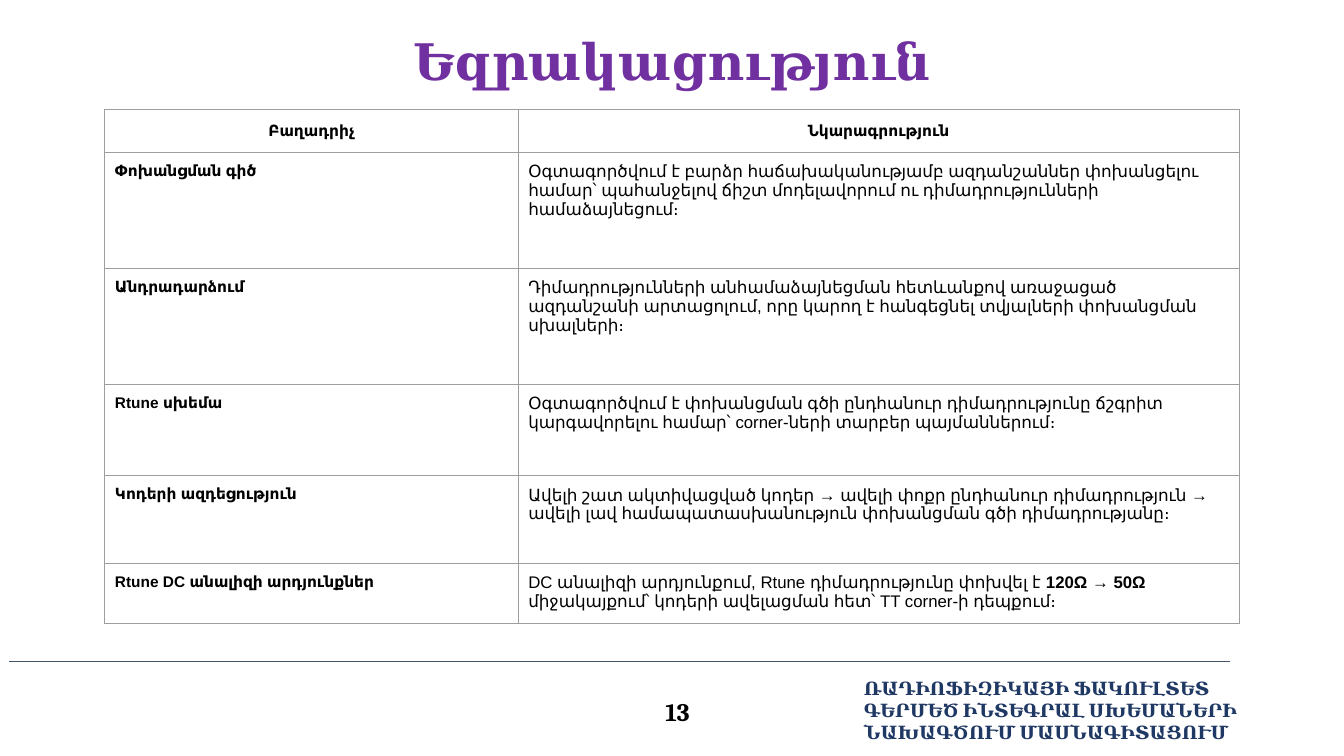
from typing import NamedTuple

from lxml import etree
from pptx import Presentation
from pptx.dml.color import RGBColor
from pptx.enum.shapes import MSO_CONNECTOR
from pptx.enum.text import MSO_ANCHOR, PP_ALIGN
from pptx.oxml.ns import qn
from pptx.util import Inches, Pt

STRAIGHT = MSO_CONNECTOR.STRAIGHT
TOP, MIDDLE = MSO_ANCHOR.TOP, MSO_ANCHOR.MIDDLE
LEFT, CENTER = PP_ALIGN.LEFT, PP_ALIGN.CENTER

COLORS = {
    "title": "7030A0",
    "faculty": "1F3864",
    "text": "000000",
    "rule": "44546A",
    "border": "9E9E9E",
}


class Run(NamedTuple):
    text: str
    bold: bool = False


class Row(NamedTuple):
    height: float
    component: str
    description: list[Run]


class Label(NamedTuple):
    box: tuple[float, float, float, float]
    lines: list[str]
    size: float
    color: str
    align: PP_ALIGN = LEFT
    anchor: MSO_ANCHOR = TOP


HEADER = Row(0.42, "Բաղադրիչ", [Run("Նկարագրություն", True)])
ROWS = [
    Row(1.15, "Փոխանցման գիծ", [Run(
        "Օգտագործվում է բարձր հաճախականությամբ ազդանշաններ փոխանցելու համար՝ "
        "պահանջելով ճիշտ մոդելավորում ու դիմադրությունների համաձայնեցում։")]),
    Row(1.15, "Անդրադարձում", [Run(
        "Դիմադրությունների անհամաձայնեցման հետևանքով առաջացած ազդանշանի արտացոլում, "
        "որը կարող է հանգեցնել տվյալների փոխանցման սխալների։")]),
    Row(0.91, "Rtune սխեմա", [Run(
        "Օգտագործվում է փոխանցման գծի ընդհանուր դիմադրությունը ճշգրիտ կարգավորելու "
        "համար՝ corner-ների տարբեր պայմաններում։")]),
    Row(0.87, "Կոդերի ազդեցություն", [Run(
        "Ավելի շատ ակտիվացված կոդեր → ավելի փոքր ընդհանուր դիմադրություն → "
        "ավելի լավ համապատասխանություն փոխանցման գծի դիմադրությանը։")]),
    Row(0.58, "Rtune DC անալիզի արդյունքներ", [
        Run("DC անալիզի արդյունքում, Rtune դիմադրությունը փոխվել է "),
        Run("120Ω → 50Ω", True),
        Run(" միջակայքում՝ կոդերի ավելացման հետ՝ TT corner-ի դեպքում։")]),
]
COLUMN_WIDTHS = (4.1, 7.15)

LABELS = [
    Label((0.92, -0.13, 11.5, 1.45), ["Եզրակացություն"], 36, "title", CENTER, MIDDLE),
    Label((8.47, 6.67, 4.51, 0.86),
          ["ՌԱԴԻՈՖԻԶԻԿԱՅԻ ՖԱԿՈՒԼՏԵՏ",
           "ԳԵՐՄԵԾ ԻՆՏԵԳՐԱԼ ՍԽԵՄԱՆԵՐԻ ՆԱԽԱԳԾՈՒՄ ՄԱՍՆԱԳԻՏԱՑՈՒՄ"], 13, "faculty"),
    Label((6.5, 6.86, 0.63, 0.4), ["13"], 18, "text"),
]


def write(p, text: str, *, size: float, font: str, color: str = "text",
          bold: bool = False, align: PP_ALIGN = LEFT, spacing: float = 1.0) -> None:
    """Append a formatted run to a paragraph."""
    p.alignment = align
    p.line_spacing = spacing
    r = p.add_run()
    r.text = text
    r.font.size = Pt(size)
    r.font.name = font
    r.font.bold = bold
    r.font.color.rgb = RGBColor.from_string(COLORS[color])


def add_label(s, label: Label) -> None:
    tf = s.shapes.add_textbox(*map(Inches, label.box)).text_frame
    tf.word_wrap = True
    tf.vertical_anchor = label.anchor
    for i, line in enumerate(label.lines):
        p = tf.add_paragraph() if i else tf.paragraphs[0]
        write(p, line, size=label.size, font="Cambria", color=label.color,
              bold=True, align=label.align)


def set_borders(cell) -> None:
    """Outline a cell; border elements must precede its fill."""
    props = cell._tc.get_or_add_tcPr()
    for i, side in enumerate(("a:lnL", "a:lnR", "a:lnT", "a:lnB")):
        ln = etree.Element(qn(side), w=str(Pt(0.75)))
        fill = etree.SubElement(ln, qn("a:solidFill"))
        etree.SubElement(fill, qn("a:srgbClr"), val=COLORS["border"])
        props.insert(i, ln)


def fill_cell(cell, runs: list[Run], size: float, align: PP_ALIGN, spacing: float) -> None:
    cell.margin_left = cell.margin_right = Inches(0.1)
    cell.margin_top = cell.margin_bottom = Inches(0.1)
    cell.vertical_anchor = TOP
    cell.fill.background()
    set_borders(cell)
    for run in runs:
        write(cell.text_frame.paragraphs[0], run.text, size=size, font="Arial",
              bold=run.bold, align=align, spacing=spacing)


def add_summary_table(s) -> None:
    rows = [HEADER, *ROWS]
    table = s.shapes.add_table(
        len(rows), len(COLUMN_WIDTHS), Inches(1.04), Inches(1.09),
        Inches(sum(COLUMN_WIDTHS)), Inches(sum(row.height for row in rows))).table
    table.horz_banding = False
    for column, width in zip(table.columns, COLUMN_WIDTHS):
        column.width = Inches(width)
    for i, row in enumerate(rows):
        table.rows[i].height = Inches(row.height)
        is_header = row is HEADER
        align, spacing = (CENTER, 1.15) if is_header else (LEFT, 1.0)
        fill_cell(table.cell(i, 0), [Run(row.component, True)], 11, align, spacing)
        fill_cell(table.cell(i, 1), row.description, 11 if is_header else 12, align, spacing)


def add_footer_rule(s) -> None:
    rule = s.shapes.add_connector(
        STRAIGHT, Inches(0.09), Inches(6.56), Inches(12.2), Inches(6.56))
    rule.line.color.rgb = RGBColor.from_string(COLORS["rule"])
    rule.line.width = Pt(0.75)
    etree.SubElement(rule._element.spPr, qn("a:effectLst"))


def main() -> None:
    prs = Presentation()
    prs.slide_width, prs.slide_height = Inches(13.33), Inches(7.5)
    s = prs.slides.add_slide(prs.slide_layouts[6])

    # Title, faculty name and page number
    for label in LABELS:
        add_label(s, label)

    # Footer rule and summary table
    add_footer_rule(s)
    add_summary_table(s)

    prs.save("out.pptx")


if __name__ == "__main__":
    main()
